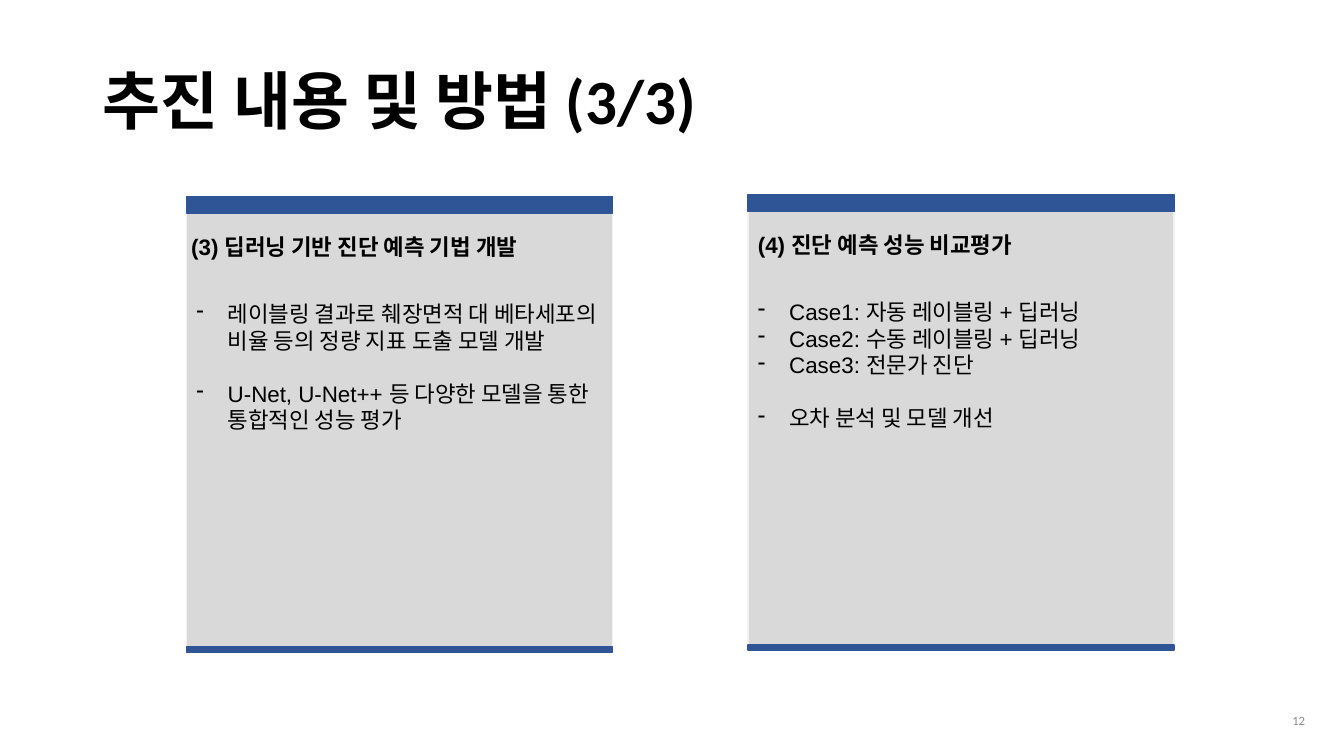
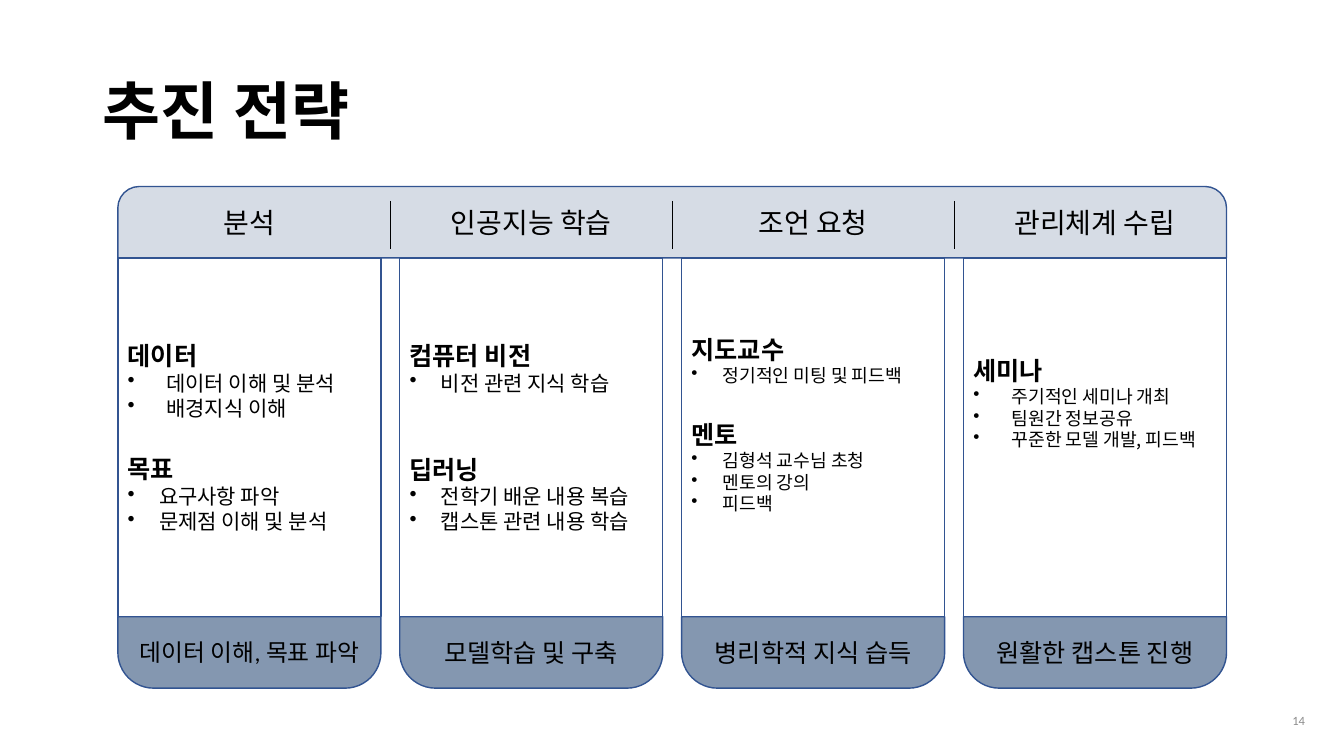
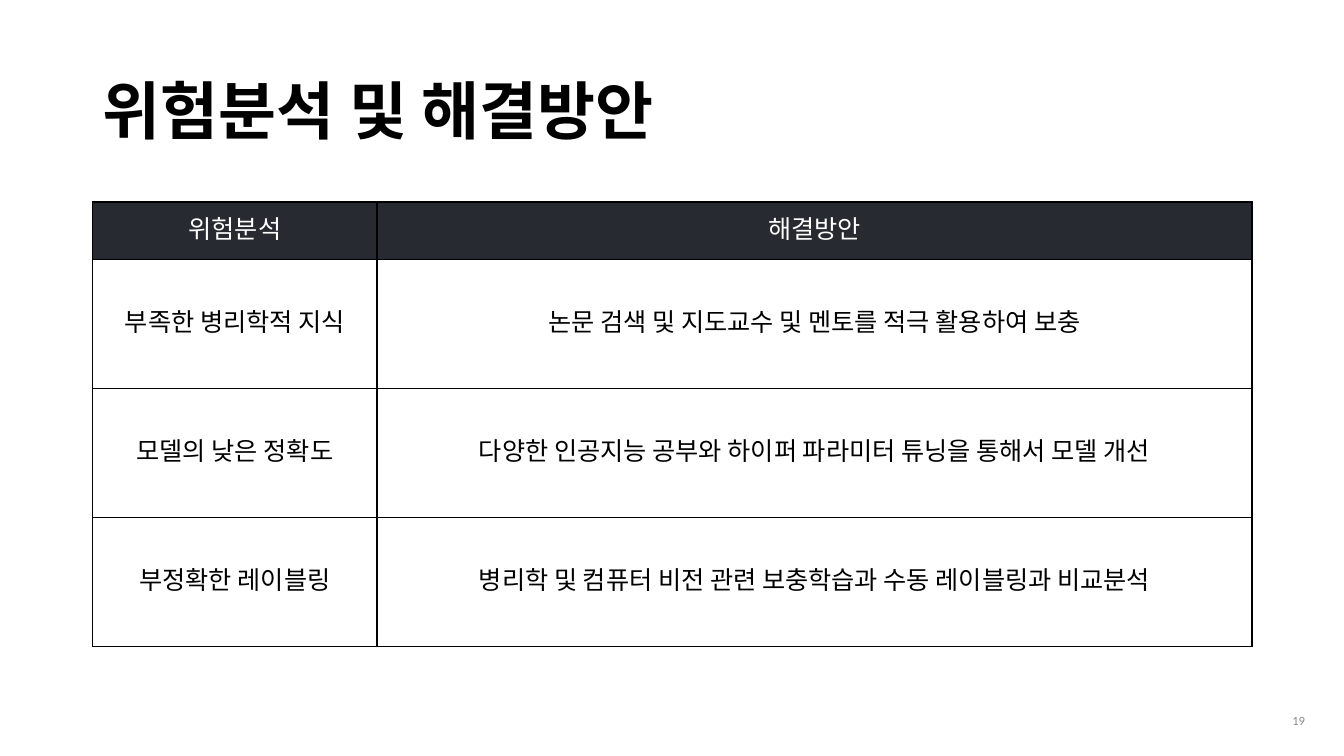
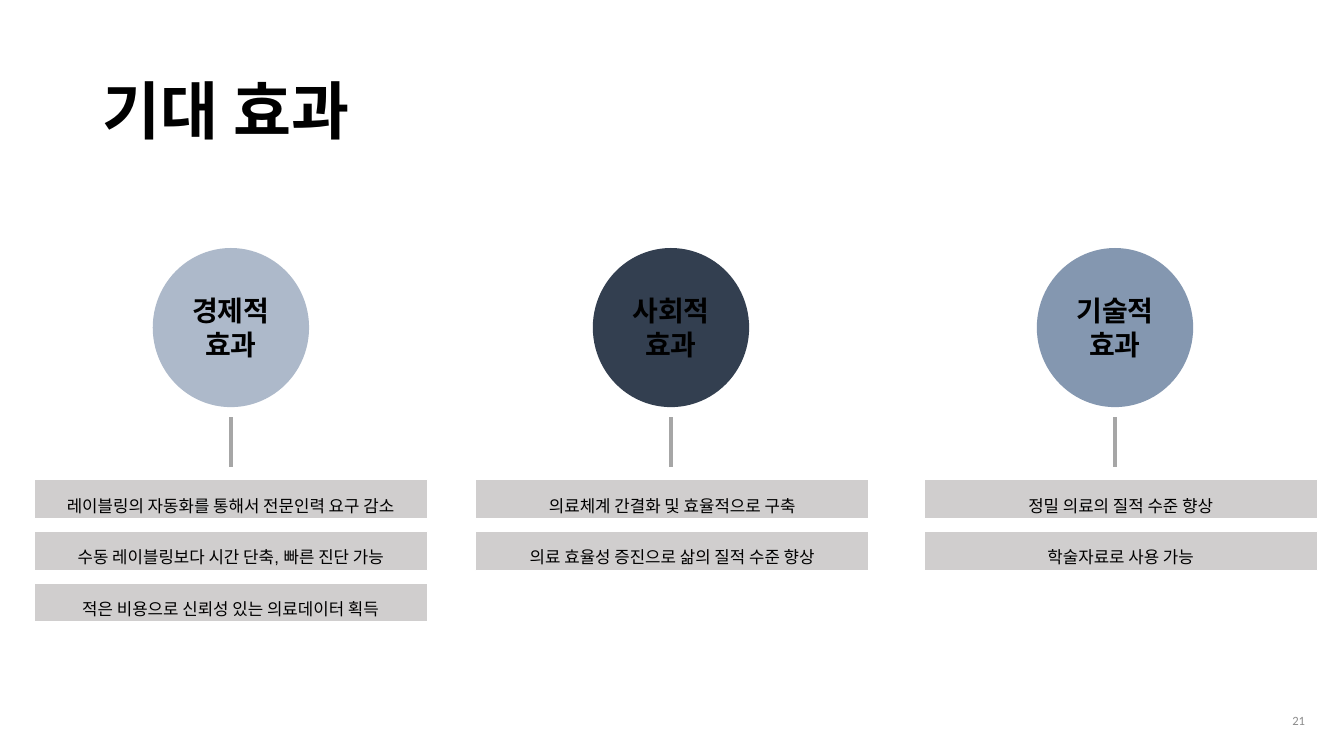
from dataclasses import dataclass

from lxml.etree import SubElement
from pptx import Presentation
from pptx.dml.color import RGBColor
from pptx.enum.shapes import MSO_CONNECTOR as Link, MSO_SHAPE as Shape
from pptx.enum.text import MSO_ANCHOR as Anchor, PP_ALIGN as Align
from pptx.oxml.ns import qn
from pptx.util import Cm, Pt

# Shared style
BLACK, WHITE = "000000", "FFFFFF"
BLUE, OUTLINE, STEEL = "2F5597", "325491", "8497B0"
PANEL_GREY, PANEL_EDGE, BAR_GREY = "D9D9D9", "F2F2F2", "D0CECE"
HEADER_BLUE, TABLE_DARK = "D6DCE5", "272A31"
NUMBER_GREY, STEM_GREY = "8C8C8C", "A6A6A6"
SANS, BODY, KOREAN = "Arial", "Calibri", "Noto Sans CJK KR"
LINE_HEIGHT = 1.19


@dataclass
class Line:
    text: str
    size: float
    bold: bool = False
    font: str = BODY
    color: str = BLACK
    bullet: str = ""
    indent: float = 0.79
    before: float = 0
    spacing: float = 1
    align: Align = Align.LEFT


def rgb(value):
    return RGBColor.from_string(value)


def write(frame, lines, anchor=Anchor.TOP):
    """Put one paragraph per line into a text frame."""
    frame.word_wrap = True
    frame.vertical_anchor = anchor
    frame.text = "\n".join(line.text for line in lines)
    for para, line in zip(frame.paragraphs, lines):
        para.alignment = line.align
        para.line_spacing = Pt(line.size * LINE_HEIGHT * line.spacing)
        para.space_before = Pt(line.before)
        para.space_after = Pt(0)
        if line.bullet:
            props = para._p.get_or_add_pPr()
            props.set("marL", str(Cm(line.indent)))
            props.set("indent", str(-Cm(line.indent)))
            SubElement(props, qn("a:buChar"), char=line.bullet)
        for span in para.runs:
            span.font.size = Pt(line.size)
            span.font.bold = line.bold
            span.font.name = line.font
            span.font.color.rgb = rgb(line.color)
            SubElement(span._r.get_or_add_rPr(), qn("a:ea"), typeface=KOREAN)


def add_text(page, left, top, width, height, lines, anchor=Anchor.TOP):
    box = page.shapes.add_textbox(Cm(left), Cm(top), Cm(width), Cm(height))
    write(box.text_frame, lines, anchor)
    return box


def add_block(page, kind, left, top, width, height, fill=None, line=None):
    block = page.shapes.add_shape(kind, Cm(left), Cm(top), Cm(width), Cm(height))
    block.shadow.inherit = False
    if fill:
        block.fill.solid()
        block.fill.fore_color.rgb = rgb(fill)
    else:
        block.fill.background()
    if line:
        block.line.color.rgb = rgb(line)
        block.line.width = Pt(1)
    else:
        block.line.fill.background()
    return block


def add_vertical(page, x, top, bottom, color, weight):
    link = page.shapes.add_connector(Link.STRAIGHT, Cm(x), Cm(top), Cm(x), Cm(bottom))
    link.line.color.rgb = rgb(color)
    link.line.width = Pt(weight)
    SubElement(link._element.spPr, qn("a:effectLst"))


def add_page(deck, title, number, title_top=1.02):
    """Title-only page with its title and page number."""
    page = deck.slides.add_slide(deck.slide_layouts[5])
    box = page.shapes.title
    box.left, box.top, box.width, box.height = Cm(2.34), Cm(title_top), Cm(29.2), Cm(3.68)
    write(box.text_frame, [Line(title, 45, True, spacing=0.9)], Anchor.MIDDLE)
    box = add_text(page, 25.45, 17.65, 7.62, 1.02,
                   [Line(number, 9, color=NUMBER_GREY, align=Align.RIGHT)], Anchor.MIDDLE)
    box.text_frame.margin_left = box.text_frame.margin_right = Cm(0.18)
    return page


# Method panels
def add_panel(page, left, top, heading, items, heading_shift=0):
    width, height, cap, base = 10.74, 11.48, 0.43, 0.13
    process = Shape.FLOWCHART_PROCESS
    add_block(page, process, left, top + 0.25, width, height - 0.25, PANEL_GREY, PANEL_EDGE)
    add_block(page, process, left, top, width, cap, BLUE, BLUE)
    add_block(page, process, left, top + height - base, width, base, BLUE, BLUE)
    add_text(page, left + heading_shift, top + 0.81, width, 0.94,
             [Line(heading, 16, True, SANS)])
    add_text(page, left, top + 2.49, width, 7.5,
             [Line(text, 16, font=SANS, bullet="-", before=before) for text, before in items])


def build_methods(deck):
    page = add_page(deck, "추진 내용 및 방법 (3/3)", "12", 0.76)
    add_panel(page, 4.7, 4.95, "(3) 딥러닝 기반 진단 예측 기법 개발", [
        ("레이블링 결과로 췌장면적 대 베타세포의 비율 등의 정량 지표 도출 모델 개발", 0),
        ("U-Net, U-Net++ 등 다양한 모델을 통한 통합적인 성능 평가", 19),
    ], heading_shift=-0.13)
    add_panel(page, 18.85, 4.9, "(4) 진단 예측 성능 비교평가", [
        ("Case1: 자동 레이블링 + 딥러닝", 0),
        ("Case2: 수동 레이블링 + 딥러닝", 0),
        ("Case3: 전문가 진단", 0),
        ("오차 분석 및 모델 개선", 19),
    ])


# Strategy columns: header, sections (heading, space before, indent, bullets),
# bullet size, bottom margin, result, result size
STRATEGY = [
    ("분석", [("데이터", 0, 0.97, ["데이터 이해 및 분석", "배경지식 이해"]),
            ("목표", 24, 0.79, ["요구사항 파악", "문제점 이해 및 분석"])],
     15, 0.13, "데이터 이해, 목표 파악", 17),
    ("인공지능 학습", [("컴퓨터 비전", 0, 0.79, ["비전 관련 지식 학습"]),
                 ("딥러닝", 42, 0.79, ["전학기 배운 내용 복습", "캡스톤 관련 내용 학습"])],
     15, 0.13, "모델학습 및 구축", 18),
    ("조언 요청", [("지도교수", 0, 0.79, ["정기적인 미팅 및 피드백"]),
               ("멘토", 24, 0.79, ["김형석 교수님 초청", "멘토의 강의", "피드백"])],
     13, 0.77, "병리학적 지식 습득", 18),
    ("관리체계 수립", [("세미나", 0, 0.97, ["주기적인 세미나 개최", "팀원간 정보공유",
                                 "꾸준한 모델 개발, 피드백"])],
     13, 1.85, "원활한 캡스톤 진행", 18),
]


def add_strategy_column(page, left, top, width, cap, body, column):
    header, sections, size, bottom, result, result_size = column
    add_text(page, left, top, width, cap,
             [Line(header, 20, font=KOREAN, align=Align.CENTER)], Anchor.MIDDLE)
    lines = []
    for heading, before, indent, bullets in sections:
        lines.append(Line(heading, 18, True, KOREAN, before=before))
        lines += [Line(text, size, font=KOREAN, bullet="•", indent=indent) for text in bullets]
    card = add_block(page, Shape.RECTANGLE, left, top + cap, width, body, line=OUTLINE)
    card.text_frame.margin_bottom = Cm(bottom)
    write(card.text_frame, lines, Anchor.MIDDLE)
    foot_top = top + cap + body
    foot = add_block(page, Shape.ROUND_2_SAME_RECTANGLE, left, foot_top, width, cap,
                     STEEL, OUTLINE)
    foot.adjustments[0] = 0.5
    foot.rotation = 180
    add_text(page, left, foot_top, width, cap,
             [Line(result, result_size, align=Align.CENTER)], Anchor.MIDDLE)


def build_strategy(deck):
    page = add_page(deck, "추진 전략", "14")
    left, top, total, width, cap, body = 2.97, 4.7, 27.94, 6.63, 1.8, 9.04
    pitch = (total - width) / (len(STRATEGY) - 1)
    band = add_block(page, Shape.ROUND_2_SAME_RECTANGLE, left, top, total, cap,
                     HEADER_BLUE, OUTLINE)
    band.adjustments[0] = 0.3
    for index, column in enumerate(STRATEGY):
        x = left + index * pitch
        add_strategy_column(page, x, top, width, cap, body, column)
        if index:
            add_vertical(page, x - (pitch - width) / 2, top + 0.36, top + 1.57, BLACK, 0.5)


# Risk table
RISKS = [
    ("위험분석", "해결방안"),
    ("부족한 병리학적 지식", "논문 검색 및 지도교수 및 멘토를 적극 활용하여 보충"),
    ("모델의 낮은 정확도", "다양한 인공지능 공부와 하이퍼 파라미터 튜닝을 통해서 모델 개선"),
    ("부정확한 레이블링", "병리학 및 컴퓨터 비전 관련 보충학습과 수동 레이블링과 비교분석"),
]


def add_borders(cell):
    props = cell._tc.get_or_add_tcPr()
    for index, side in enumerate(("a:lnL", "a:lnR", "a:lnT", "a:lnB")):
        edge = props.makeelement(qn(side), {"w": str(Pt(1))})
        SubElement(SubElement(edge, qn("a:solidFill")), qn("a:srgbClr"), val=BLACK)
        props.insert(index, edge)


def add_risk_table(page, left, top, widths, heights):
    table = page.shapes.add_table(len(heights), len(widths), Cm(left), Cm(top),
                                  Cm(sum(widths)), Cm(sum(heights))).table
    table.first_row = table.horz_banding = False
    for column, width in zip(table.columns, widths):
        column.width = Cm(width)
    for index, (row, height, texts) in enumerate(zip(table.rows, heights, RISKS)):
        row.height = Cm(height)
        for cell, text in zip(row.cells, texts):
            color = BLACK if index else WHITE
            write(cell.text_frame, [Line(text, 18, color=color, align=Align.CENTER)])
            cell.vertical_anchor = Anchor.MIDDLE
            cell.fill.solid()
            cell.fill.fore_color.rgb = rgb(WHITE if index else TABLE_DARK)
            add_borders(cell)


def build_risks(deck):
    page = add_page(deck, "위험분석 및 해결방안", "19")
    add_risk_table(page, 2.34, 5.09, [7.16, 22.05], [1.45, 3.25, 3.25, 3.25])


# Expected effects: bar left, axis, circle colour, heading, bars with fonts
EFFECTS = [
    (0.86, 5.82, "ADB9CA", "경제적 효과", [
        ("레이블링의 자동화를 통해서 전문인력 요구 감소", SANS),
        ("수동 레이블링보다 시간 단축, 빠른 진단 가능", SANS),
        ("적은 비용으로 신뢰성 있는 의료데이터 획득", KOREAN)]),
    (11.99, 16.91, "333F50", "사회적 효과", [
        ("의료체계 간결화 및 효율적으로 구축", SANS),
        ("의료 효율성 증진으로 삶의 질적 수준 향상", KOREAN)]),
    (23.29, 28.1, STEEL, "기술적 효과", [
        ("정밀 의료의 질적 수준 향상", KOREAN),
        ("학술자료로 사용 가능", SANS)]),
]


def add_effect(page, left, axis, top, color, heading, bars):
    width, height = 3.94, 4.01
    circle = add_block(page, Shape.OVAL, axis - width / 2, top, width, height, color)
    write(circle.text_frame, [Line(heading, 20, True, SANS, align=Align.CENTER)], Anchor.MIDDLE)
    add_vertical(page, axis, top + 4.27, top + 5.51, STEM_GREY, 2.25)
    for index, (text, font) in enumerate(bars):
        bar = add_block(page, Shape.RECTANGLE, left, top + 5.84 + 1.3 * index, 9.91, 0.99,
                        BAR_GREY, WHITE)
        write(bar.text_frame, [Line(text, 12, font=font, spacing=1.6, align=Align.CENTER)],
              Anchor.MIDDLE)


def build_effects(deck):
    page = add_page(deck, "기대 효과", "21")
    for left, axis, color, heading, bars in EFFECTS:
        add_effect(page, left, axis, 6.25, color, heading, bars)


def main():
    deck = Presentation()
    deck.slide_width, deck.slide_height = Cm(33.87), Cm(19.05)
    for build in (build_methods, build_strategy, build_risks, build_effects):
        build(deck)
    deck.save("out.pptx")


if __name__ == "__main__":
    main()
